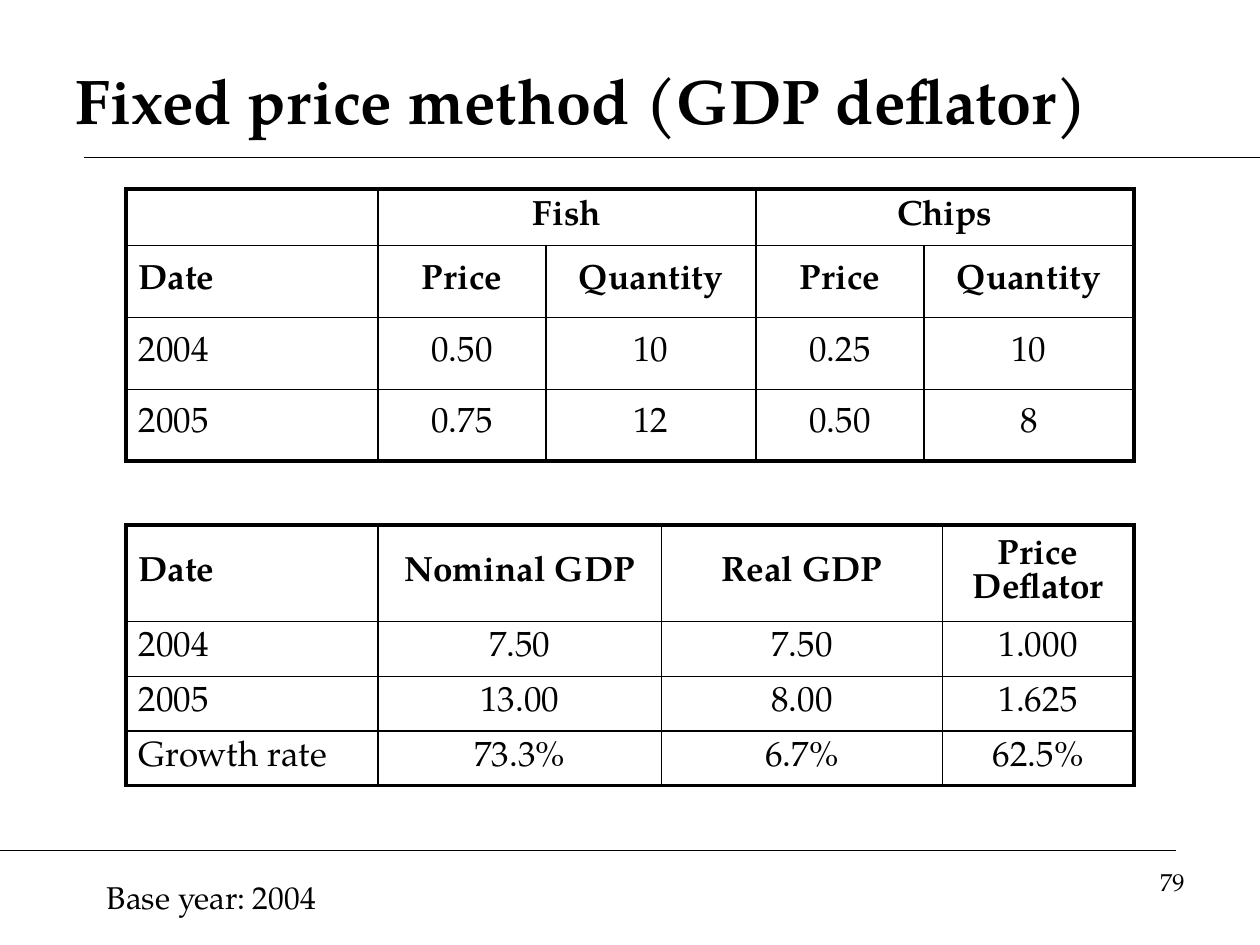
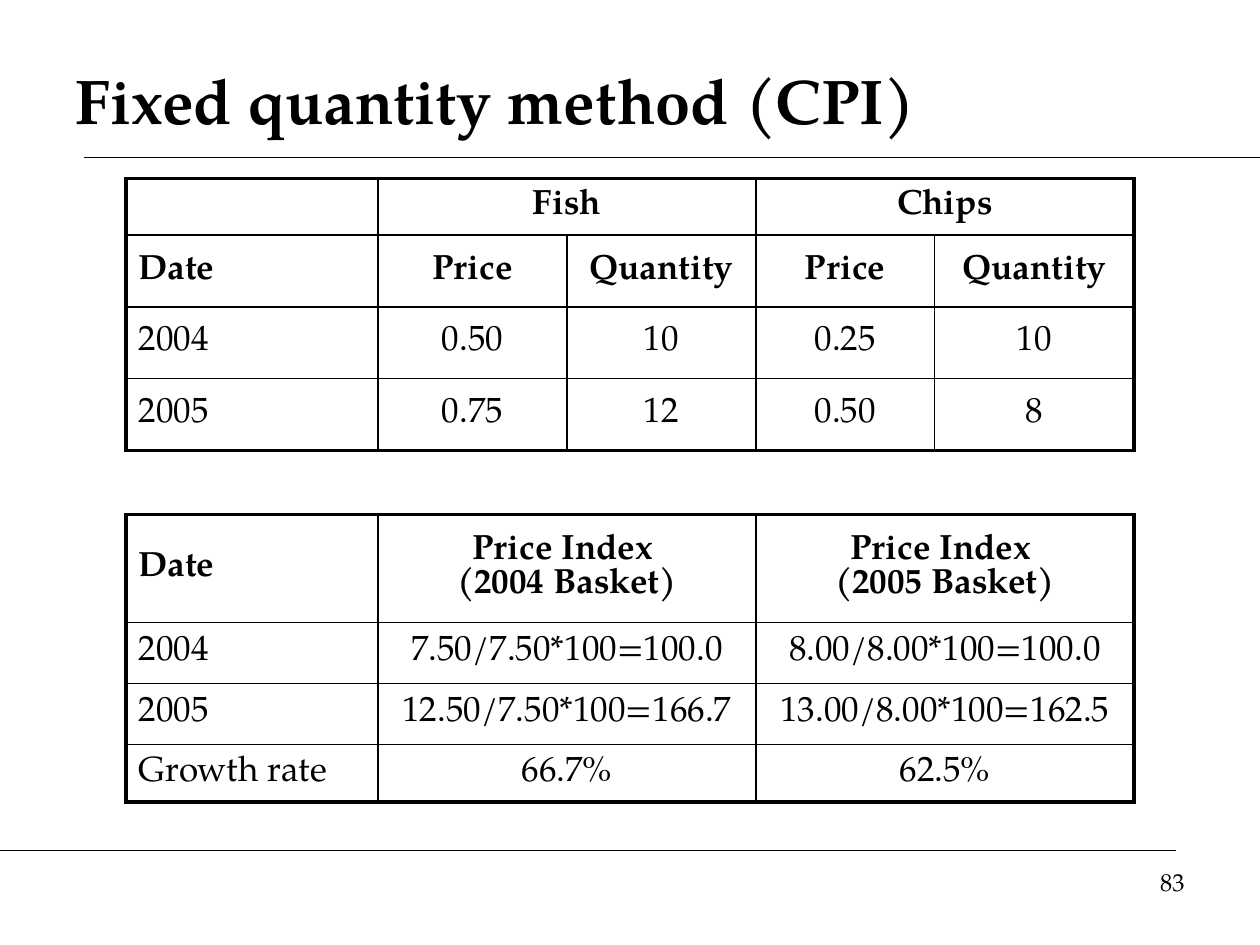
from lxml import etree
from pptx import Presentation
from pptx.dml.color import RGBColor
from pptx.enum.shapes import MSO_CONNECTOR
from pptx.enum.text import MSO_ANCHOR, MSO_AUTO_SIZE, PP_ALIGN
from pptx.oxml.ns import qn
from pptx.util import Inches, Pt

LEFT, CENTER, RIGHT = PP_ALIGN.LEFT, PP_ALIGN.CENTER, PP_ALIGN.RIGHT
MIDDLE = MSO_ANCHOR.MIDDLE
NO_AUTOFIT = MSO_AUTO_SIZE.NONE
STRAIGHT = MSO_CONNECTOR.STRAIGHT

FONT = "TeX Gyre Pagella"
INK = "000000"
PAPER = "FFFFFF"
TITLE_ONLY = 5
GRID_COLUMNS, GRID_ROWS = 120, 90
TABLE_LEFT = 12
OUTER_BORDER, INNER_BORDER = 2.25, 1


def color(hex_code):
    return RGBColor.from_string(hex_code)


class Deck:
    """Slide style plus the slide now being filled; lengths are grid units."""

    def __init__(self):
        self.prs = Presentation()
        self.prs.slide_width, self.prs.slide_height = Inches(10), Inches(7.5)
        self.slide = None

    def x(self, columns):
        return round(self.prs.slide_width * columns / GRID_COLUMNS)

    def y(self, rows):
        return round(self.prs.slide_height * rows / GRID_ROWS)

    def box(self, left, top, width, height):
        return self.x(left), self.y(top), self.x(width), self.y(height)

    def new_slide(self, title, number):
        layout = self.prs.slide_layouts[TITLE_ONLY]
        self.slide = self.prs.slides.add_slide(layout)
        background = self.slide.background.fill
        background.solid()
        background.fore_color.rgb = color(PAPER)
        self.rule(8, 120, 15)
        self.rule(0, 112, 81)
        self.title(title)
        self.text(str(number), (86, 82, 28, 6.2), 14, RIGHT)

    def title(self, wording):
        heading = self.slide.shapes.title
        heading.left, heading.top, heading.width, heading.height = self.box(6, 4, 108, 11)
        frame = heading.text_frame
        frame.text = wording
        frame.auto_size = NO_AUTOFIT
        frame.vertical_anchor = MIDDLE
        self.format(frame.paragraphs[0], 36, LEFT, bold=True)

    def rule(self, start, end, row):
        line = self.slide.shapes.add_connector(
            STRAIGHT, self.x(start), self.y(row), self.x(end), self.y(row))
        line.line.color.rgb = color(INK)
        line.line.width = Pt(0.75)
        etree.SubElement(line._element.spPr, qn("a:effectLst"))

    def text(self, wording, place, size, align=LEFT):
        frame = self.slide.shapes.add_textbox(*self.box(*place)).text_frame
        frame.word_wrap = True
        frame.text = wording
        self.format(frame.paragraphs[0], size, align)

    def format(self, paragraph, size, align, bold=False):
        paragraph.alignment = align
        for run in paragraph.runs:
            run.font.name = FONT
            run.font.size = Pt(size)
            run.font.bold = bold
            run.font.color.rgb = color(INK)

    def table(self, top, widths, heights, content, header_rows=1, spans=()):
        """Fill a framed table; spans lists the (row, first, last) cells to merge."""
        place = self.box(TABLE_LEFT, top, sum(widths), sum(heights))
        table = self.slide.shapes.add_table(len(heights), len(widths), *place).table
        table.first_row = table.horz_banding = False
        for column, width in zip(table.columns, widths):
            column.width = self.x(width)
        for row, height in zip(table.rows, heights):
            row.height = self.y(height)
        for row, first, last in spans:
            table.cell(row, first).merge(table.cell(row, last))
        for r, row in enumerate(content):
            for c, wording in enumerate(row):
                cell = table.cell(r, c)
                cell.fill.background()
                cell.vertical_anchor = MIDDLE
                paragraph = cell.text_frame.paragraphs[0]
                paragraph.text = wording
                self.format(paragraph, 20, CENTER if c else LEFT, r < header_rows)
                last = c + (cell.span_width if cell.is_merge_origin else 1)
                self.borders(cell, {"L": c == 0, "R": last == len(widths),
                                    "T": r == 0, "B": r + 1 == len(heights)})

    def borders(self, cell, outer_sides):
        properties = cell._tc.get_or_add_tcPr()
        for position, (side, is_outer) in enumerate(outer_sides.items()):
            width = Pt(OUTER_BORDER if is_outer else INNER_BORDER)
            border = etree.Element(qn(f"a:ln{side}"), w=str(width))
            fill = etree.SubElement(border, qn("a:solidFill"))
            etree.SubElement(fill, qn("a:srgbClr"), val=INK)
            properties.insert(position, border)

    def market_table(self, top, widths):
        """Prices and quantities of both goods, the same on every slide."""
        content = [
            ["", "Fish", "", "Chips", ""],
            ["Date"] + ["Price", "Quantity"] * 2,
            ["2004", "0.50", "10", "0.25", "10"],
            ["2005", "0.75", "12", "0.50", "8"],
        ]
        self.table(top, widths, [5.4, 6.84, 6.84, 6.84], content,
                   header_rows=2, spans=[(0, 1, 2), (0, 3, 4)])


def main():
    deck = Deck()

    deck.new_slide("Fixed price method (GDP deflator)", 79)
    deck.market_table(18, [24, 16, 20, 16, 20])
    deck.table(50, [24, 27, 26.75, 18.25], [7.65, 4.56, 4.56, 4.56], [
        ["Date", "Nominal GDP", "Real GDP", "Price Deflator"],
        ["2004", "7.50", "7.50", "1.000"],
        ["2005", "13.00", "8.00", "1.625"],
        ["Growth rate", "73.3%", "6.7%", "62.5%"],
    ])
    deck.text("Base year: 2004", (9, 83, 63, 4.8), 18)

    deck.new_slide("Fixed quantity method (CPI)", 83)
    deck.market_table(17, [24, 18, 18, 17, 19])
    deck.table(49, [24, 36, 36], [10.3, 5.8, 5.8, 5.5], [
        ["Date", "Price Index \v(2004 Basket)", "Price Index \v(2005 Basket)"],
        ["2004", "7.50/7.50*100=100.0", "8.00/8.00*100=100.0"],
        ["2005", "12.50/7.50*100=166.7", "13.00/8.00*100=162.5"],
        ["Growth rate", "66.7%", "62.5%"],
    ])

    deck.prs.save("out.pptx")


if __name__ == "__main__":
    main()
